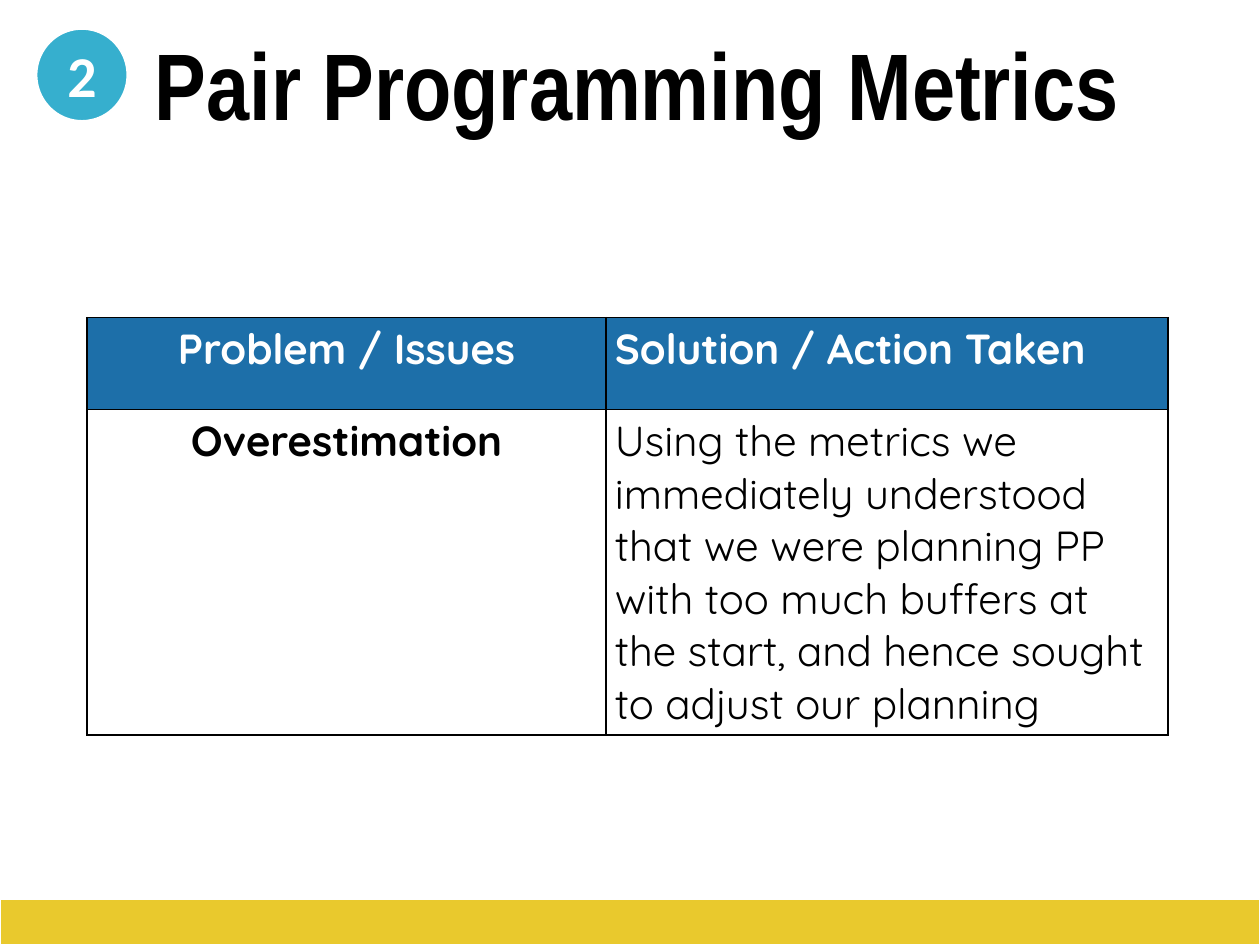
from lxml.etree import SubElement
from pptx import Presentation
from pptx.dml.color import RGBColor
from pptx.enum.shapes import MSO_SHAPE
from pptx.enum.text import MSO_ANCHOR, PP_ALIGN
from pptx.oxml.ns import qn
from pptx.util import Inches, Pt

WHITE = RGBColor(0xFF, 0xFF, 0xFF)
BLACK = RGBColor(0x00, 0x00, 0x00)
HEADER_BLUE = RGBColor(0x1D, 0x6F, 0xA9)
BADGE_BLUE = RGBColor(0x36, 0xAF, 0xCE)
FOOTER_YELLOW = RGBColor(0xE9, 0xC9, 0x2D)

TITLE_FORMAT = {"name": "Arial Narrow", "size": Pt(54), "bold": True}
BADGE_FORMAT = {"name": "Calibri", "size": Pt(33), "bold": True}
CELL_FORMAT = {"name": "Quicksand", "size": Pt(24)}
CELL_MARGINS = {
    "margin_left": Inches(0.07),
    "margin_right": Inches(0.07),
    "margin_top": Inches(0.04),
    "margin_bottom": Inches(0.04),
}

COLUMN_WIDTHS = (4.12, 4.46)
ROW_HEIGHTS = (0.73, 2.46)
ROWS = (
    ("Problem / Issues", "Solution / Action Taken"),
    (
        "Overestimation",
        "Using the metrics we immediately understood that we were planning PP "
        "with too much buffers at the start, and hence sought to adjust our planning",
    ),
)


def set_attributes(target, values):
    for name, value in values.items():
        setattr(target, name, value)


def write_text(text_frame, text, font_format, color, alignment=PP_ALIGN.LEFT):
    text_frame.text = text
    paragraph = text_frame.paragraphs[0]
    paragraph.alignment = alignment
    set_attributes(paragraph.font, font_format)
    paragraph.font.color.rgb = color


def add_title(slide, left, top, width, height):
    title = slide.shapes.title
    set_attributes(title, {"left": Inches(left), "top": Inches(top),
                           "width": Inches(width), "height": Inches(height)})
    title.text_frame.word_wrap = True
    title.text_frame.vertical_anchor = MSO_ANCHOR.TOP
    write_text(title.text_frame, "Pair Programming Metrics", TITLE_FORMAT, BLACK)


def add_filled_shape(slide, kind, box, color):
    shape = slide.shapes.add_shape(kind, *map(Inches, box))
    shape.shadow.inherit = False
    shape.fill.solid()
    shape.fill.fore_color.rgb = color
    shape.line.color.rgb = WHITE
    shape.line.width = Pt(1)
    return shape


def add_number_badge(slide, box):
    badge = add_filled_shape(slide, MSO_SHAPE.OVAL, box, BADGE_BLUE)
    badge.text_frame.vertical_anchor = MSO_ANCHOR.MIDDLE
    write_text(badge.text_frame, "2", BADGE_FORMAT, WHITE, PP_ALIGN.CENTER)


def format_cell(cell, fill_color):
    """Set margins, black borders and fill; borders must precede the fill in the XML."""
    set_attributes(cell, CELL_MARGINS)
    properties = cell._tc.get_or_add_tcPr()
    for side in ("a:lnL", "a:lnR", "a:lnT", "a:lnB"):
        line = SubElement(properties, qn(side), w=str(Pt(1)))
        fill = SubElement(line, qn("a:solidFill"))
        SubElement(fill, qn("a:srgbClr"), val=str(BLACK))
    cell.fill.solid()
    cell.fill.fore_color.rgb = fill_color


def add_issue_table(slide, left, top):
    frame = slide.shapes.add_table(
        len(ROWS), len(COLUMN_WIDTHS), Inches(left), Inches(top),
        Inches(sum(COLUMN_WIDTHS)), Inches(sum(ROW_HEIGHTS)))
    table = frame.table
    for column, width in zip(table.columns, COLUMN_WIDTHS):
        column.width = Inches(width)
    for row, height in zip(table.rows, ROW_HEIGHTS):
        row.height = Inches(height)
    for row_index, texts in enumerate(ROWS):
        is_header = row_index == 0
        for column_index, text in enumerate(texts):
            is_issue = column_index == 0
            cell = table.cell(row_index, column_index)
            format_cell(cell, HEADER_BLUE if is_header else WHITE)
            write_text(cell.text_frame, text,
                       {**CELL_FORMAT, "bold": is_header or is_issue},
                       WHITE if is_header else BLACK,
                       PP_ALIGN.CENTER if is_issue else PP_ALIGN.LEFT)


def main():
    presentation = Presentation()
    presentation.slide_width = Inches(10)
    presentation.slide_height = Inches(7.5)
    slide = presentation.slides.add_slide(presentation.slide_layouts[5])
    add_issue_table(slide, 0.69, 2.52)
    add_filled_shape(slide, MSO_SHAPE.RECTANGLE, (0, 7.14, 10, 0.36), FOOTER_YELLOW)
    add_number_badge(slide, (0.29, 0.23, 0.72, 0.73))
    add_title(slide, 1.13, 0.16, 8.45, 1.01)
    presentation.save("out.pptx")


if __name__ == "__main__":
    main()
